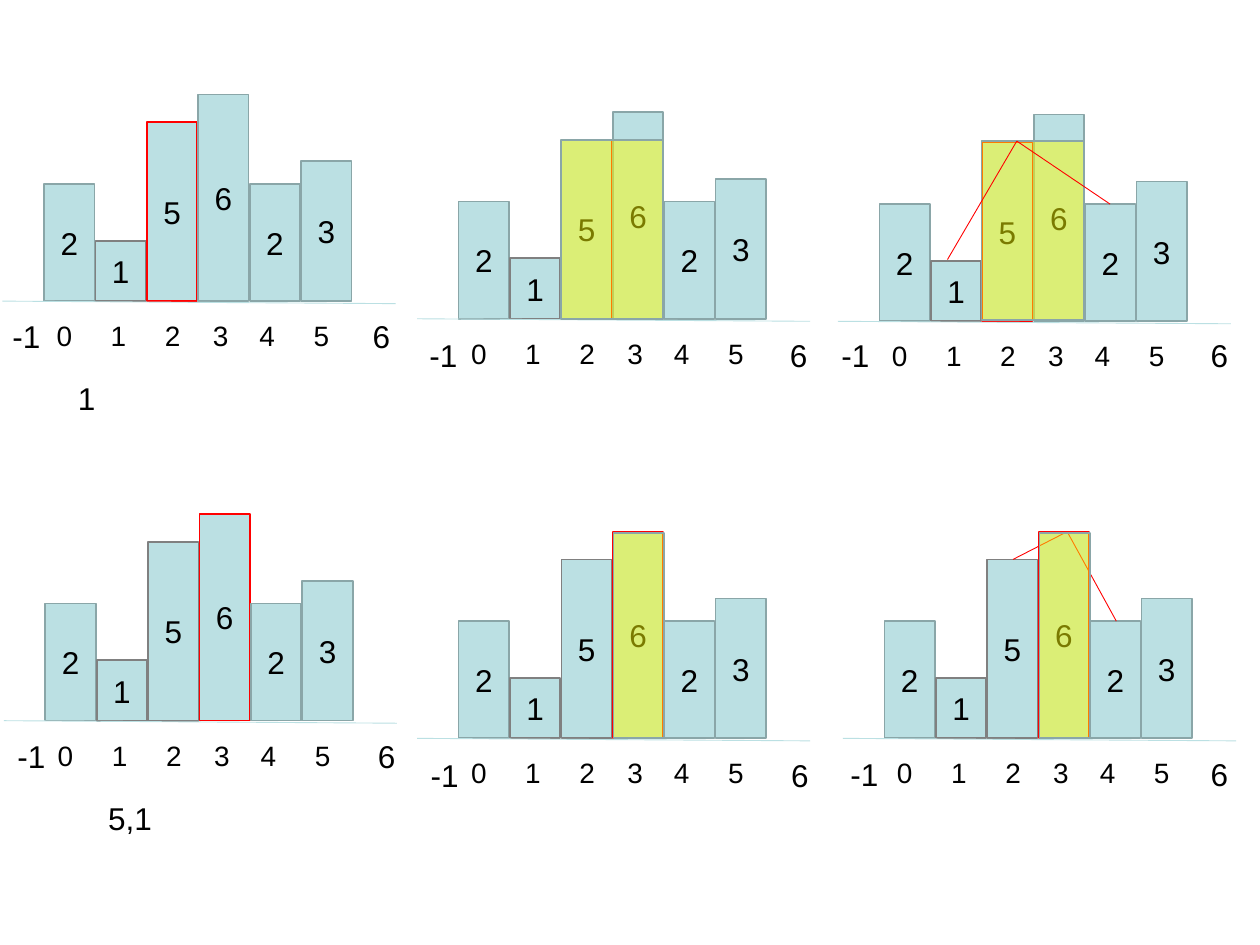
from dataclasses import dataclass

from lxml import etree
from pptx import Presentation
from pptx.dml.color import RGBColor
from pptx.enum.shapes import MSO_CONNECTOR, MSO_SHAPE
from pptx.enum.text import MSO_ANCHOR, MSO_AUTO_SIZE, PP_ALIGN
from pptx.oxml.ns import qn
from pptx.util import Inches, Pt

RECTANGLE = MSO_SHAPE.RECTANGLE
STRAIGHT = MSO_CONNECTOR.STRAIGHT
MIDDLE = MSO_ANCHOR.MIDDLE
CENTER = PP_ALIGN.CENTER
GROW = MSO_AUTO_SIZE.SHAPE_TO_FIT_TEXT

BAR_VALUES = [2, 1, 5, 6, 2, 3]
BAR_HEIGHTS = {1: 0.48, 2: 0.93, 3: 1.11, 5: 1.42, 6: 1.64}
BAR_WIDTH = 0.4
BAR_PITCH = 2.04 / 5
INDEX_TABS = [0.43, 0.86, 1.24, 1.61, 2.04]


def color(hex_string):
    return RGBColor.from_string(hex_string)


@dataclass
class Panel:
    left: float
    base: float
    current: int            # value of the bar being processed
    ends: tuple             # left and top of the "-1 ... 6" label
    end_tab: float = 2.86
    highlight: tuple = ()   # left, top, width, height
    pointers: tuple = ()    # bounding bars joined to the current bar
    pointers_behind: bool = False


class HistogramSlide:
    font = "Arial"
    text_color = "000000"
    bar_fill = "BBE0E3"
    bar_line = "8AA6A8"
    stacked_line = "808080"
    accent = "FF0000"
    highlight_fill = "FFFF00"
    highlight_opacity = 48

    def __init__(self, presentation):
        self.slide = presentation.slides.add_slide(presentation.slide_layouts[6])
        self.shapes = self.slide.shapes

    def style_text(self, paragraph, size):
        for run in paragraph.runs:
            run.font.name = self.font
            run.font.size = Pt(size)
            run.font.color.rgb = color(self.text_color)

    def rectangle(self, shapes, box, fill, line):
        shape = shapes.add_shape(RECTANGLE, *map(Inches, box))
        shape.shadow.inherit = False
        shape.fill.solid()
        shape.fill.fore_color.rgb = color(fill)
        shape.line.color.rgb = color(line)
        shape.line.width = Pt(1)
        return shape

    def bar(self, shapes, box, value, line):
        shape = self.rectangle(shapes, box, self.bar_fill, line)
        frame = shape.text_frame
        frame.text = str(value)
        frame.vertical_anchor = MIDDLE
        frame.paragraphs[0].alignment = CENTER
        self.style_text(frame.paragraphs[0], 18)

    def highlight(self, box):
        shape = self.rectangle(self.shapes, box, self.highlight_fill, self.bar_line)
        fill_color = shape.fill._xPr.find(qn("a:solidFill"))[0]
        etree.SubElement(fill_color, qn("a:alpha"), val=str(self.highlight_opacity * 1000))

    def line(self, shapes, start, end, line_color):
        connector = shapes.add_connector(STRAIGHT, *map(Inches, (*start, *end)))
        connector.line.color.rgb = color(line_color)
        connector.line.width = Pt(0.5)
        etree.SubElement(connector._element.spPr, qn("a:effectLst"))

    def label(self, shapes, box, text, size, tabs=()):
        frame = shapes.add_textbox(*map(Inches, box)).text_frame
        frame.word_wrap = True
        frame.auto_size = GROW
        paragraph = frame.paragraphs[0]
        paragraph.text = text
        self.style_text(paragraph, size)
        if tabs:
            tab_list = etree.SubElement(paragraph._p.get_or_add_pPr(), qn("a:tabLst"))
            for tab in tabs:
                etree.SubElement(tab_list, qn("a:tab"), pos=str(Inches(tab)), algn="l")

    def histogram(self, panel):
        shapes = self.shapes.add_group_shape().shapes
        for index, value in enumerate(BAR_VALUES):
            height = BAR_HEIGHTS[value]
            if value == panel.current:
                outline = self.accent
            elif value == 1 or (value == 5 and panel.current == 6):
                outline = self.stacked_line
            else:
                outline = self.bar_line
            box = (panel.left + index * BAR_PITCH, panel.base - height, BAR_WIDTH, height)
            self.bar(shapes, box, value, outline)
        indices = "\t".join(str(index) for index in range(len(BAR_VALUES)))
        self.label(shapes, (panel.left, panel.base + 0.09, 2.52, 0.37), indices, 16, INDEX_TABS)
        axis_left = panel.left - 0.33
        self.line(shapes, (axis_left, panel.base), (axis_left + 3.12, panel.base + 0.02),
                  self.bar_fill)

    def panel(self, panel):
        self.histogram(panel)
        if panel.highlight and not panel.pointers_behind:
            self.highlight(panel.highlight)
        if panel.pointers:
            *starts, peak = panel.pointers
            for start in starts:
                self.line(self.shapes, start, peak, self.accent)
        if panel.pointers_behind:
            self.highlight(panel.highlight)


PANELS = [
    # Upper row: bar of height 5
    Panel(0.35, 2.39, 5, (0, 2.47)),
    Panel(3.64, 2.53, 5, (3.31, 2.62), highlight=(4.45, 1.11, 0.81, 1.42)),
    Panel(6.98, 2.55, 5, (6.58, 2.62), end_tab=2.93, highlight=(7.79, 1.12, 0.81, 1.42),
          pointers=((7.52, 2.06), (8.81, 1.62), (8.07, 1.12))),
    # Lower row: bar of height 6
    Panel(0.36, 5.72, 6, (0.04, 5.8)),
    Panel(3.64, 5.86, 6, (3.32, 5.95), highlight=(4.87, 4.23, 0.4, 1.63)),
    Panel(7.02, 5.86, 6, (6.65, 5.94), highlight=(8.25, 4.23, 0.4, 1.63),
          pointers=((8.86, 4.93), (8.04, 4.44), (8.47, 4.22)), pointers_behind=True),
]


def main():
    presentation = Presentation()
    presentation.slide_width = Inches(10)
    presentation.slide_height = Inches(7.5)
    page = HistogramSlide(presentation)

    # Histograms with highlights and pointers
    for panel in PANELS:
        page.panel(panel)

    # Sentinel indices at both ends of each axis
    for panel in PANELS:
        page.label(page.shapes, (*panel.ends, 3.45, 0.4), "-1\t6", 18, [panel.end_tab])

    # Stack contents
    for left, top, text in [(0.52, 2.96, "1"), (0.76, 6.29, "5,1")]:
        page.label(page.shapes, (left, top, 3.33, 0.4), text, 18)

    presentation.save("out.pptx")


if __name__ == "__main__":
    main()
